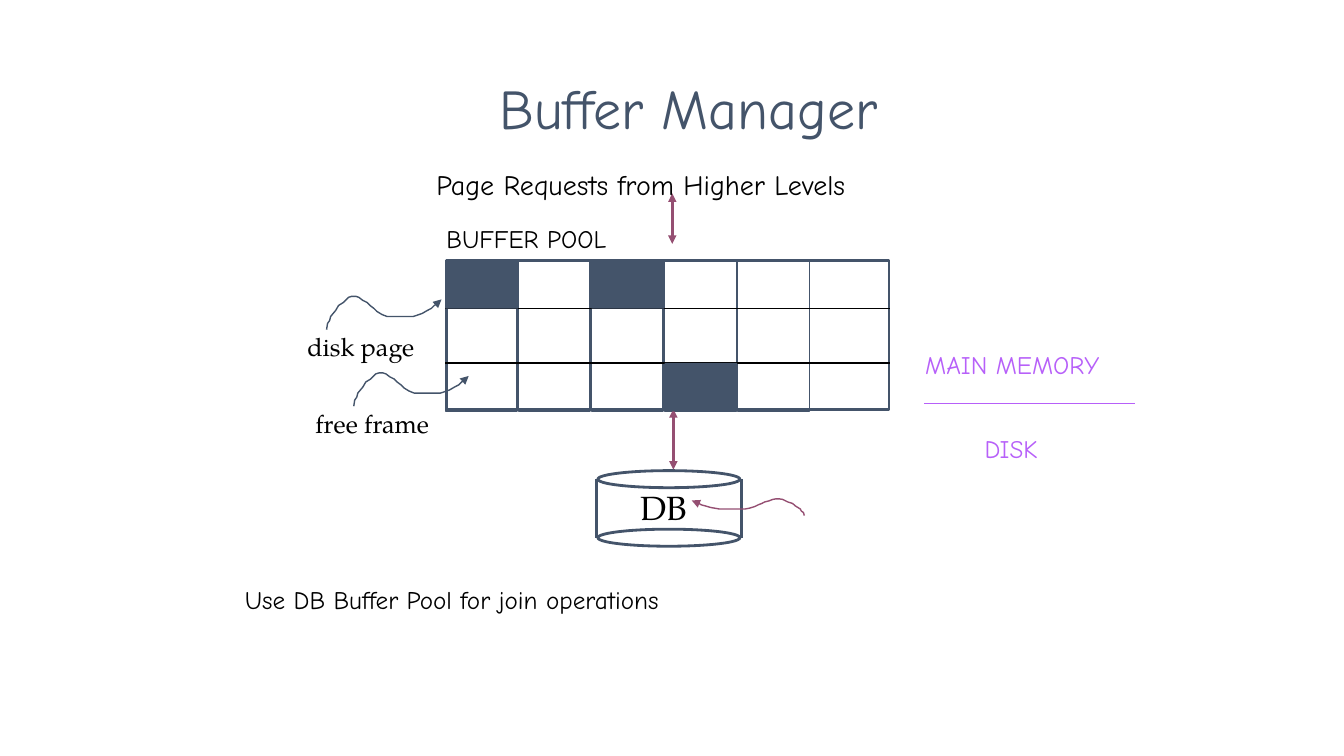
from lxml import etree
from pptx import Presentation
from pptx.dml.color import RGBColor
from pptx.enum import shapes as es, text as et
from pptx.oxml import ns
from pptx.util import Pt

HUES = {"slate": "44546A", "black": "000000", "plum": "954F72", "violet": "B760F9"}
SANS, SERIF = "Comic Neue", "TeX Gyre Pagella"


def pen(shape, hue, width, ends=()):
    shape.line.color.rgb = RGBColor.from_string(HUES[hue])
    shape.line.width = Pt(width)
    for end in ends:
        etree.SubElement(shape.get_or_add_ln(), ns.qn("a:" + end), type="triangle")
    if hasattr(shape, "begin_x"):
        etree.SubElement(shape._element.spPr, ns.qn("a:effectLst"))
    else:
        shape.fill.background()
        shape.shadow.inherit = False


def write(frame, words, size, face, hue):
    run = frame.paragraphs[0].add_run()
    run.text = words
    run.font.size = Pt(size)
    run.font.name = face
    run.font.color.rgb = RGBColor.from_string(HUES[hue])


deck = Presentation()
deck.slide_width, deck.slide_height = Pt(960), Pt(540)
slide = deck.slides.add_slide(deck.slide_layouts[5])
parts = slide.shapes

title = parts.title
title.left, title.top, title.width, title.height = Pt(185.8), Pt(33.1), Pt(612), Pt(87.1)
title.text_frame.vertical_anchor = et.MSO_ANCHOR.MIDDLE
title.text_frame.paragraphs[0].alignment = et.PP_ALIGN.CENTER
write(title.text_frame, "Buffer Manager", 40, SANS, "slate")

left, top, step, high = 318.2, 186.2, 52.2, 107.3
RECT, OVAL = es.MSO_SHAPE.RECTANGLE, es.MSO_SHAPE.OVAL
frames = [(RECT, left + 0.7, top, 316.1, 106.6, 2)]
frames += [(RECT, left + col * step, top, 51.1, high, 1) for col in range(5)]
frames += [(OVAL, 427, y, 101.5, 12.2, 2) for y in (336.2, 378)]
for kind, x, y, wide, tall, width in frames:
    pen(parts.add_shape(kind, Pt(x), Pt(y), Pt(wide), Pt(tall)), "slate", width)

BOTH = ("headEnd", "tailEnd")
lines = [
    (318.2, 220.3, 635.8, 220.3, "black", 1, ()),
    (318.2, 259.2, 635.8, 259.2, "black", 1, ()),
    (426.2, 342, 426.2, 384.5, "slate", 2, ()),
    (529.9, 342, 529.9, 384.5, "slate", 2, ()),
    (660.2, 288, 810.7, 288, "violet", 1, ()),
    (480.2, 138.2, 480.2, 174.2, "plum", 2, BOTH),
    (481, 292.3, 481, 335.5, "plum", 2, BOTH),
]
for x, y, x2, y2, hue, width, ends in lines:
    line = parts.add_connector(es.MSO_CONNECTOR.STRAIGHT, Pt(x), Pt(y), Pt(x2), Pt(y2))
    pen(line, hue, width, ends)

for col, y in [(0, 185.8), (2, 185.8), (3, 259.2)]:
    page = parts.add_shape(RECT, Pt(left + col * step), Pt(y), Pt(51.8), Pt(34.6))
    page.fill.solid()
    page.fill.fore_color.rgb = RGBColor.from_string(HUES["slate"])
    page.line.fill.background()
    page.shadow.inherit = False

wave = [
    (0, 23.8), (0.7, 19.4), (2.2, 17.3), (2.9, 14.4), (6.5, 10.1), (8.6, 6.5),
    (12.2, 4.3), (15.8, 0.7), (18, 0), (20.9, 0), (23, 0.7), (25.9, 2.9),
    (28.8, 4.3), (31, 6.5), (33.8, 8.6), (36, 10.8), (39.6, 13), (43.2, 14.4),
    (61.9, 14.4), (64.1, 13.7), (68.4, 12.2), (72, 10.1), (74.9, 8.6),
    (77, 6.5), (79.9, 5), (82.1, 2.2),
]
for x, y, across, down, hue in [
    (233.3, 211.7, 1, 1, "slate"),
    (252.7, 266.4, 1, 1, "slate"),
    (574.6, 356.4, -0.98, 0.5, "plum"),
]:
    dots = [(Pt(x + across * dx), Pt(y + down * dy)) for dx, dy in wave]
    path = parts.build_freeform(*dots[0])
    path.add_line_segments(dots[1:], close=False)
    pen(path.convert_to_shape(), hue, 1, ("tailEnd",))

labels = [
    ("DB", 450.7, 344.2, 49.7, 36, 24, SERIF, "black", True),
    ("MAIN MEMORY", 653.8, 246.2, 154.1, 28.8, 18, SANS, "violet", False),
    ("DISK", 696.2, 306, 61.2, 28.8, 18, SANS, "violet", False),
    ("disk page", 212.4, 233.3, 92.2, 28.8, 18, SERIF, "black", False),
    ("free frame", 218.2, 288, 96.5, 28.8, 18, SERIF, "black", False),
    ("Page Requests from Higher Levels", 304.6, 115.9, 335.5, 31, 20, SANS, "black", False),
    ("BUFFER POOL", 311.8, 156.2, 137.5, 28.8, 18, SANS, "black", False),
    ("Use DB Buffer Pool for join operations", 167.8, 414, 625, 28.8, 18, SANS, "black", True),
]
for words, x, y, wide, tall, size, face, hue, wrap in labels:
    frame = parts.add_textbox(Pt(x), Pt(y), Pt(wide), Pt(tall)).text_frame
    frame.word_wrap = wrap
    frame.auto_size = et.MSO_AUTO_SIZE.SHAPE_TO_FIT_TEXT
    write(frame, words, size, face, hue)

deck.save("out.pptx")
